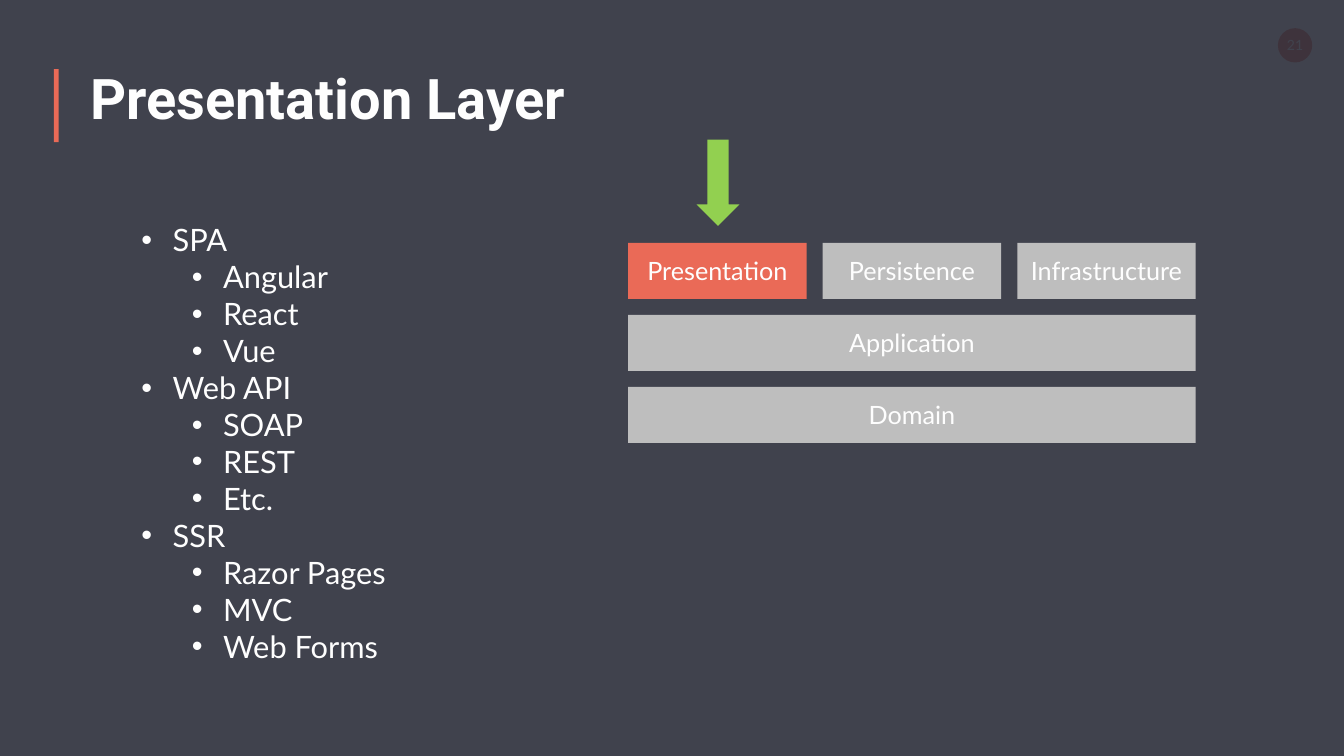
from lxml.etree import SubElement
from pptx import Presentation
from pptx.dml.color import RGBColor
from pptx.enum.shapes import MSO_SHAPE
from pptx.enum.text import MSO_ANCHOR, PP_ALIGN
from pptx.oxml.ns import qn
from pptx.util import Cm, Pt

TITLE = "Presentation Layer"
PAGE = "21"
TOPICS = [
    ("SPA", ["Angular", "React", "Vue"]),
    ("Web API", ["SOAP", "REST", "Etc."]),
    ("SSR", ["Razor Pages", "MVC", "Web Forms"]),
]
LAYERS = [
    ["Presentation", "Persistence", "Infrastructure"],
    ["Application"],
    ["Domain"],
]
ACTIVE = "Presentation"

WHITE = RGBColor(0xFE, 0xFE, 0xFE)
DARK = RGBColor(0x2C, 0x2E, 0x3A)
CORAL = RGBColor(0xEA, 0x6A, 0x57)
GREY = RGBColor(0xBE, 0xBE, 0xBE)
GREEN = RGBColor(0x92, 0xD0, 0x50)

WIDTH, HEIGHT = 67.72, 38.1
LEFT, TOP = 31.65, 12.24
SPAN, TALL, GAP = 28.6, 2.82, 0.81
HANG, STEP = 1.57, 2.54


def write(frame, lines, size, font="Lato", bold=False, align=PP_ALIGN.LEFT,
          bullet=False):
    frame.word_wrap = True
    for i, (text, level) in enumerate(lines):
        para = frame.add_paragraph() if i else frame.paragraphs[0]
        para.alignment = align
        para.level = level
        run = para.add_run()
        run.text = text
        run.font.name = font
        run.font.size = Pt(size)
        run.font.bold = bold
        run.font.color.rgb = WHITE
        if bullet:
            props = para._p.get_or_add_pPr()
            props.set("marL", str(Cm(HANG + level * STEP)))
            props.set("indent", str(-Cm(HANG)))
            SubElement(props, qn("a:buFont"), typeface="Arial")
            SubElement(props, qn("a:buChar"), char="•")


def draw(slide, kind, box, fill):
    shape = slide.shapes.add_shape(kind, *map(Cm, box))
    shape.shadow.inherit = False
    shape.fill.solid()
    shape.fill.fore_color.rgb = fill
    shape.line.fill.background()
    return shape


def label(shape, text, size):
    frame = shape.text_frame
    frame.vertical_anchor = MSO_ANCHOR.MIDDLE
    frame.margin_left = frame.margin_right = 0
    write(frame, [(text, 0)], size, align=PP_ALIGN.CENTER)


def main():
    deck = Presentation()
    deck.slide_width, deck.slide_height = Cm(WIDTH), Cm(HEIGHT)
    slide = deck.slides.add_slide(deck.slide_layouts[6])
    back = slide.background.fill
    back.solid()
    back.fore_color.rgb = WHITE

    badge = draw(slide, MSO_SHAPE.OVAL, (64.39, 1.42, 1.73, 1.73), CORAL)
    label(badge, PAGE, 20)
    veil = draw(slide, MSO_SHAPE.RECTANGLE, (0, 0, WIDTH, HEIGHT), DARK)
    tint = veil._element.spPr.find(qn("a:solidFill"))[0]
    SubElement(tint, qn("a:alpha"), val="90000")

    title = slide.shapes.add_textbox(Cm(4.29), Cm(3.07), Cm(41.33), Cm(3.68))
    write(title.text_frame, [(TITLE, 0)], 80, font="Roboto", bold=True)
    draw(slide, MSO_SHAPE.RECTANGLE, (2.71, 3.49, 0.25, 3.68), CORAL)

    lines = []
    for head, items in TOPICS:
        lines += [(head, 0)] + [(item, 1) for item in items]
    topics = slide.shapes.add_textbox(Cm(6.88), Cm(11.02), Cm(23.6), Cm(24.71))
    write(topics.text_frame, lines, 44, bullet=True)

    for i, row in enumerate(LAYERS):
        wide = (SPAN - GAP * (len(row) - 1)) / len(row)
        for j, name in enumerate(row):
            box = (LEFT + j * (wide + GAP), TOP + i * (TALL + GAP), wide, TALL)
            fill = CORAL if name == ACTIVE else GREY
            label(draw(slide, MSO_SHAPE.RECTANGLE, box, fill), name, 36)
    draw(slide, MSO_SHAPE.DOWN_ARROW, (35.1, 7.04, 2.16, 4.34), GREEN)

    deck.save("out.pptx")


if __name__ == "__main__":
    main()
